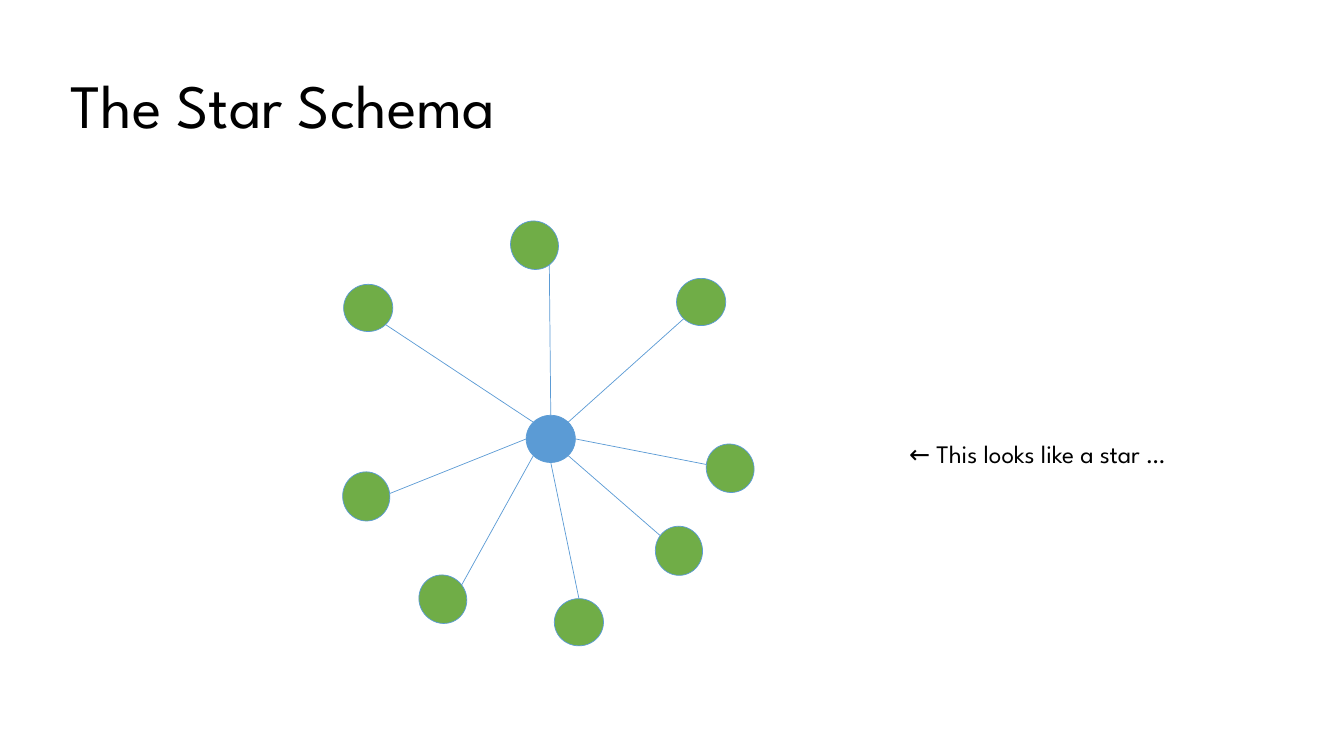
from math import cos, sin, radians
from lxml import etree
from pptx import Presentation
from pptx.dml.color import RGBColor
from pptx.enum.shapes import MSO_CONNECTOR as LINK, MSO_SHAPE as SHAPE
from pptx.enum.text import MSO_ANCHOR as ANCHOR, MSO_AUTO_SIZE as FIT, PP_ALIGN as ALIGN
from pptx.oxml.ns import qn
from pptx.util import Cm, Pt

BLACK = RGBColor(0, 0, 0)
BLUE = RGBColor(0x5B, 0x9B, 0xD5)
GREEN = RGBColor(0x70, 0xAD, 0x47)
FONT = "League Spartan"
WIDE, HIGH = 1.24, 1.19
HUB = (13.88, 11.06)

deck = Presentation()
deck.slide_width, deck.slide_height = Cm(33.87), Cm(19.05)
slide = deck.slides.add_slide(deck.slide_layouts[5])
shapes = slide.shapes


def add_node(x, y, turn, color):
    node = shapes.add_shape(SHAPE.OVAL, Cm(x - WIDE / 2), Cm(y - HIGH / 2), Cm(WIDE), Cm(HIGH))
    node.rotation = turn
    node.shadow.inherit = False
    node.fill.solid()
    node.fill.fore_color.rgb = color
    node.line.color.rgb = BLUE
    node.line.width = Pt(0.5)


def rim_point(x, y, turn, angle):
    across, down = WIDE / 2 * cos(radians(angle)), HIGH / 2 * sin(radians(angle))
    c, s = cos(radians(turn)), sin(radians(turn))
    return Cm(x + across * c - down * s), Cm(y + across * s + down * c)


title = shapes.title
title.left, title.top, title.width, title.height = Cm(1.52), Cm(0.89), Cm(30), Cm(3.68)
title.text_frame.text = "The Star Schema"
title.text_frame.vertical_anchor = ANCHOR.MIDDLE
title.text_frame.paragraphs[0].line_spacing = 0.9

note = shapes.add_textbox(Cm(22.66), Cm(10.92), Cm(7.95), Cm(1.02))
note.text_frame.text = "← This looks like a star …"
note.text_frame.word_wrap = False
note.text_frame.auto_size = FIT.SHAPE_TO_FIT_TEXT

for box, size in ((title, 44), (note, 18)):
    para = box.text_frame.paragraphs[0]
    para.alignment = ALIGN.LEFT
    font = para.runs[0].font
    font.name, font.size = FONT, Pt(size)
    font.color.rgb = BLACK

add_node(*HUB, 0, BLUE)

# x, y, turn, angle on the hub, angle on the node
nodes = [
    (9.28, 7.76, 0, 225, 45),
    (17.67, 7.61, 0, 315, 135),
    (14.59, 15.68, 0, 90, 270),
    (13.47, 6.18, 52.9, 270, 0),
    (18.4, 11.8, 52.9, 0, 135),
    (11.16, 15.1, 52.9, 135, 270),
    (17.11, 13.88, 82.9, 45, 135),
    (9.23, 12.51, 82.9, 180, 270),
]
for x, y, turn, start, end in nodes:
    add_node(x, y, turn, GREEN)
    ray = shapes.add_connector(
        LINK.STRAIGHT, *rim_point(*HUB, 0, start), *rim_point(x, y, turn, end))
    ray.line.color.rgb = BLUE
    ray.line.width = Pt(0.5)
    etree.SubElement(ray._element.spPr, qn("a:effectLst"))

deck.save("out.pptx")
